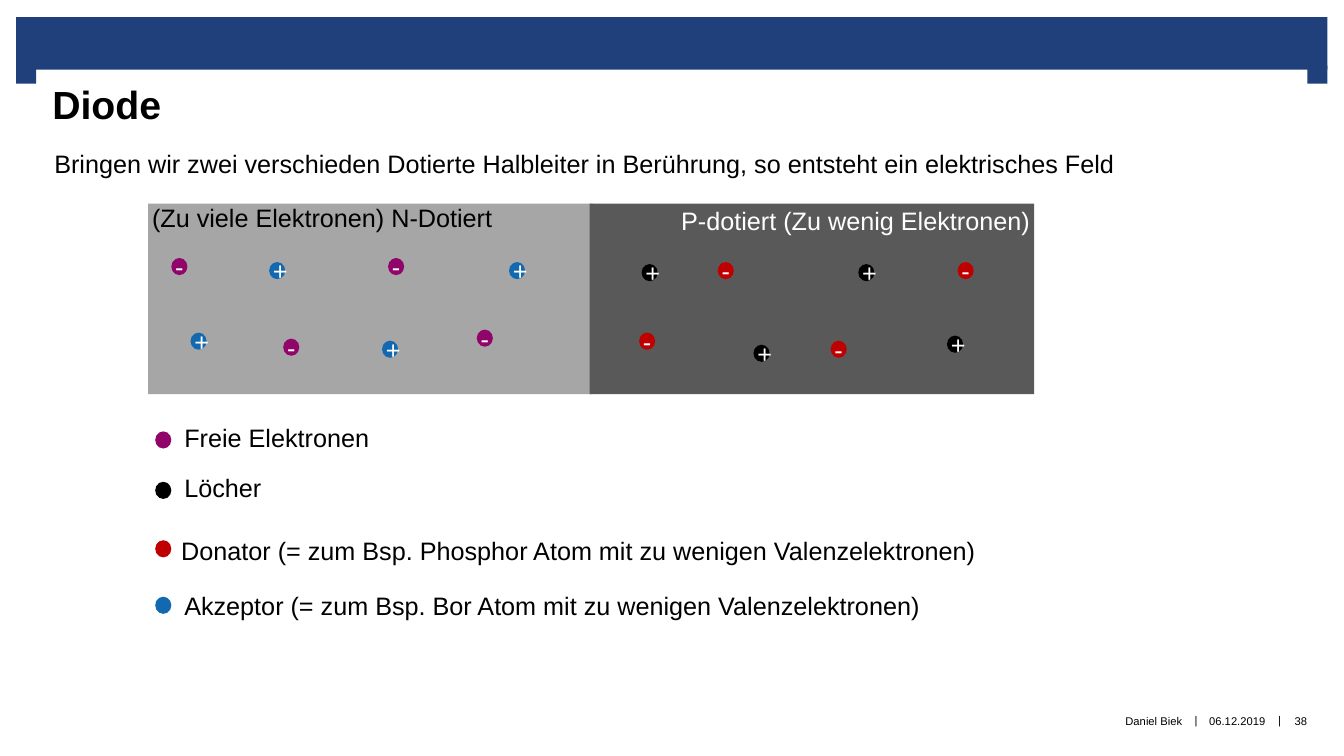
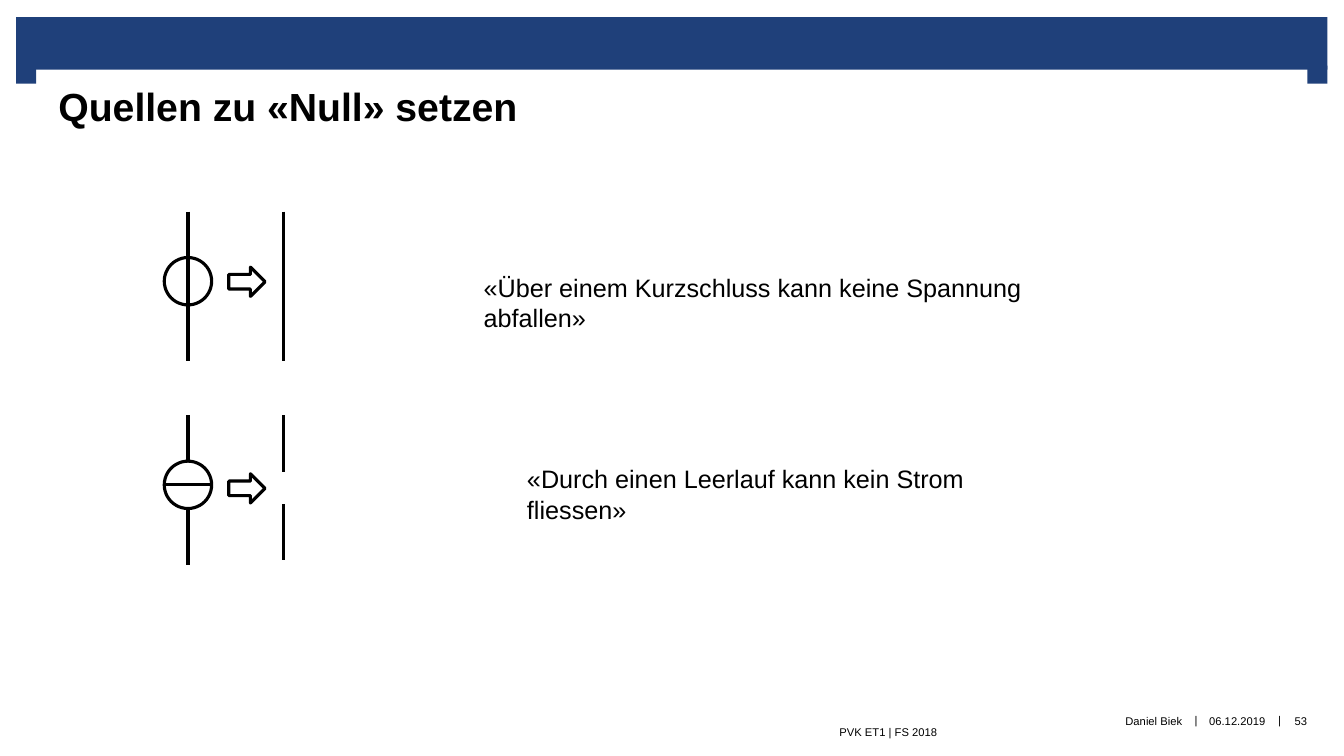
from dataclasses import dataclass

from lxml.etree import SubElement
from pptx import Presentation
from pptx.dml.color import RGBColor
from pptx.enum.shapes import MSO_CONNECTOR, MSO_SHAPE
from pptx.enum.text import MSO_ANCHOR, PP_ALIGN
from pptx.oxml.ns import qn
from pptx.util import Inches, Pt


@dataclass(frozen=True)
class Theme:
    font: str = "Arial"
    title_size: int = 28
    body_size: int = 18
    footer_size: int = 8
    stroke: float = 2.25
    band: str = "1F407A"
    ink: str = "000000"
    paper: str = "FFFFFF"
    n_region: str = "A6A6A6"
    p_region: str = "595959"
    electron: str = "91056A"
    hole: str = "000000"
    donor: str = "C00000"
    acceptor: str = "1269B0"


THEME = Theme()
CELLS_PER_INCH = 10
COLUMNS, ROWS = 133.33, 75
DOT_WIDTH, DOT_HEIGHT = 1.6, 1.7
LINE_HEIGHT = 4


def cells(count):
    return Inches(count / CELLS_PER_INCH)


@dataclass(frozen=True)
class Box:
    left: float
    top: float
    width: float
    height: float

    def inner(self, left, top, width, height):
        return Box(self.left + left, self.top + top, width, height)

    def lengths(self):
        return [cells(n) for n in (self.left, self.top, self.width, self.height)]


PAGE = Box(0, 0, COLUMNS, ROWS)


def write(shape, text, size, color, align=PP_ALIGN.LEFT, bold=False):
    shape.text_frame.text = text
    paragraph = shape.text_frame.paragraphs[0]
    paragraph.alignment = align
    font = paragraph.runs[0].font
    font.name, font.size, font.bold = THEME.font, Pt(size), bold
    font.color.rgb = RGBColor.from_string(color)


def add_text(slide, box, text, size=THEME.body_size, color=THEME.ink,
             align=PP_ALIGN.LEFT, bold=False, wrap=False, insets=None,
             anchor=MSO_ANCHOR.TOP):
    shape = slide.shapes.add_textbox(*box.lengths())
    frame = shape.text_frame
    frame.word_wrap, frame.vertical_anchor = wrap, anchor
    if insets is not None:
        (frame.margin_left, frame.margin_top,
         frame.margin_right, frame.margin_bottom) = map(cells, insets)
    write(shape, text, size, color, align, bold)


def add_shape(slide, kind, box, fill, outline=None):
    shape = slide.shapes.add_shape(kind, *box.lengths())
    shape.shadow.inherit = False
    shape.fill.solid()
    shape.fill.fore_color.rgb = RGBColor.from_string(fill)
    if outline:
        shape.line.color.rgb = RGBColor.from_string(outline)
        shape.line.width = Pt(THEME.stroke)
    else:
        shape.line.fill.background()
    return shape


def add_line(slide, box):
    line = slide.shapes.add_connector(
        MSO_CONNECTOR.STRAIGHT, cells(box.left), cells(box.top),
        cells(box.left + box.width), cells(box.top + box.height))
    line.line.color.rgb = RGBColor.from_string(THEME.ink)
    line.line.width = Pt(THEME.stroke)
    SubElement(line._element.spPr, qn("a:effectLst"))


def draw_band(slide, box):
    foot = 2
    add_shape(slide, MSO_SHAPE.RECTANGLE, box.inner(0, 0, box.width, 5.2), THEME.band)
    for left in (0, box.width - foot):
        add_shape(slide, MSO_SHAPE.RECTANGLE, box.inner(left, 4.8, foot, 1.8), THEME.band)


def draw_footer(slide, box, number):
    entries = (
        (0, 50.7, "Daniel Biek", PP_ALIGN.RIGHT),
        (51.3, 1.5, "|", PP_ALIGN.CENTER),
        (52.8, 6.7, "06.12.2019", PP_ALIGN.CENTER),
        (59.6, 1.5, "|", PP_ALIGN.CENTER),
        (60.5, 3.9, number, PP_ALIGN.CENTER),
    )
    for left, width, text, align in entries:
        insets = (0.4, 0.5, 0.4, 0.5) if text == "|" else (0, 0, 0, 0)
        lift = -0.1 if text == "|" else 0
        add_text(slide, box.inner(left, lift, width, box.height), text,
                 THEME.footer_size, align=align, insets=insets,
                 anchor=MSO_ANCHOR.MIDDLE)


def start_slide(presentation, title, title_box, number):
    slide = presentation.slides.add_slide(presentation.slide_layouts[6])
    draw_band(slide, PAGE.inner(1.6, 1.7, 130.1, 6.6))
    draw_footer(slide, PAGE.inner(66.6, 69, 64.4, 5.1), number)
    add_text(slide, title_box, title, THEME.title_size, bold=True, wrap=True,
             insets=(1.6, 1.2, 1.6, 0))
    return slide


def draw_particles(slide, box, spots, color, sign):
    for left, top in spots:
        dot = add_shape(slide, MSO_SHAPE.OVAL,
                        box.inner(left, top, DOT_WIDTH, DOT_HEIGHT), color)
        write(dot, sign, THEME.body_size, THEME.paper, PP_ALIGN.CENTER)


def draw_junction(slide, box):
    half = 44.1
    n_box = box.inner(0, 0, half, box.height)
    p_box = box.inner(box.width - half, 0, half, box.height)
    add_shape(slide, MSO_SHAPE.RECTANGLE, n_box, THEME.n_region)
    add_shape(slide, MSO_SHAPE.RECTANGLE, p_box, THEME.p_region)

    carriers = ((2.3, 5.4), (13.4, 13.4), (23.8, 5.4), (32.6, 12.5))
    ions = ((35.8, 5.8), (23.2, 13.6), (12, 5.8), (4.2, 12.8))
    holes = [(left + 2.85, top + 0.6) for left, top in carriers]
    donors = [(left + 0.7, top) for left, top in ions]
    draw_particles(slide, n_box, carriers, THEME.electron, "-")
    draw_particles(slide, p_box, holes, THEME.hole, "+")
    draw_particles(slide, n_box, ions, THEME.acceptor, "+")
    draw_particles(slide, p_box, donors, THEME.donor, "-")

    add_text(slide, n_box.inner(-0.6, -0.6, 36.1, LINE_HEIGHT),
             "(Zu viele Elektronen) N-Dotiert")
    add_text(slide, p_box.inner(8.1, -0.3, 36.7, LINE_HEIGHT),
             "P-dotiert (Zu wenig Elektronen)", color=THEME.paper)


def draw_legend(slide, box):
    entries = (
        (1.4, 0, 1.9, 20.5, THEME.electron, "Freie Elektronen"),
        (6.4, 5, 1.9, 9.7, THEME.hole, "Löcher"),
        (12.2, 11.2, 1.6, 81.6, THEME.donor,
         "Donator (= zum Bsp. Phosphor Atom mit zu wenigen Valenzelektronen)"),
        (17.8, 16.7, 1.9, 75.7, THEME.acceptor,
         "Akzeptor (= zum Bsp. Bor Atom mit zu wenigen Valenzelektronen)"),
    )
    for dot_top, text_top, text_left, width, color, text in entries:
        add_shape(slide, MSO_SHAPE.OVAL,
                  box.inner(0, dot_top, DOT_WIDTH, DOT_HEIGHT), color)
        add_text(slide, box.inner(text_left, text_top, width, LINE_HEIGHT), text)


def draw_source(slide, box, bar, remaining_wires, arrow_top):
    diameter = 4.7
    circle = box.inner(0, 4.55, diameter, diameter)
    add_line(slide, box.inner(diameter / 2, 0, 0, box.height))
    add_shape(slide, MSO_SHAPE.OVAL, circle, THEME.paper, THEME.ink)
    add_line(slide, circle.inner(*bar(diameter)))
    add_shape(slide, MSO_SHAPE.RIGHT_ARROW, box.inner(6.4, arrow_top, 3.6, 2.9),
              THEME.paper, THEME.ink)
    for top, height in remaining_wires:
        add_line(slide, box.inner(box.width, top, 0, height))


def vertical_bar(diameter):
    return diameter / 2, 0, 0, diameter


def horizontal_bar(diameter):
    return 0, diameter / 2, diameter, 0


def build_diode(presentation):
    slide = start_slide(presentation, "Diode", PAGE.inner(3.6, 6.8, 105, 6.3), "38")
    add_text(slide, PAGE.inner(4.4, 14.2, 108.2, LINE_HEIGHT),
             "Bringen wir zwei verschieden Dotierte Halbleiter in Berührung, "
             "so entsteht ein elektrisches Feld")
    draw_junction(slide, PAGE.inner(14.7, 20.2, 87.9, 18.9))
    draw_legend(slide, PAGE.inner(15.4, 41.4, 86, 20.7))


def build_sources(presentation):
    slide = start_slide(presentation, "Quellen zu «Null» setzen",
                        PAGE.inner(4.2, 7, 110, 15.9), "53")
    add_text(slide, PAGE.inner(40.3, 70.6, 52.7, 4), "PVK ET1 | FS 2018",
             THEME.footer_size, align=PP_ALIGN.RIGHT, insets=(0, 0, 0, 0),
             anchor=MSO_ANCHOR.MIDDLE)
    height = 14.85
    draw_source(slide, PAGE.inner(16.3, 21, 11.8, height), vertical_bar,
                [(0, height)], 5.5)
    draw_source(slide, PAGE.inner(16.3, 41.2, 11.8, height), horizontal_bar,
                [(0, 5.6), (8.8, 5.6)], 5.8)
    add_text(slide, PAGE.inner(47, 26.5, 58.3, LINE_HEIGHT),
             "«Über einem Kurzschluss kann keine Spannung abfallen»", wrap=True)
    add_text(slide, PAGE.inner(51.3, 45.5, 49.7, LINE_HEIGHT),
             "«Durch einen Leerlauf kann kein Strom fliessen»", wrap=True)


def main():
    presentation = Presentation()
    presentation.slide_width = cells(COLUMNS)
    presentation.slide_height = cells(ROWS)
    build_diode(presentation)
    build_sources(presentation)
    presentation.save("out.pptx")


if __name__ == "__main__":
    main()
